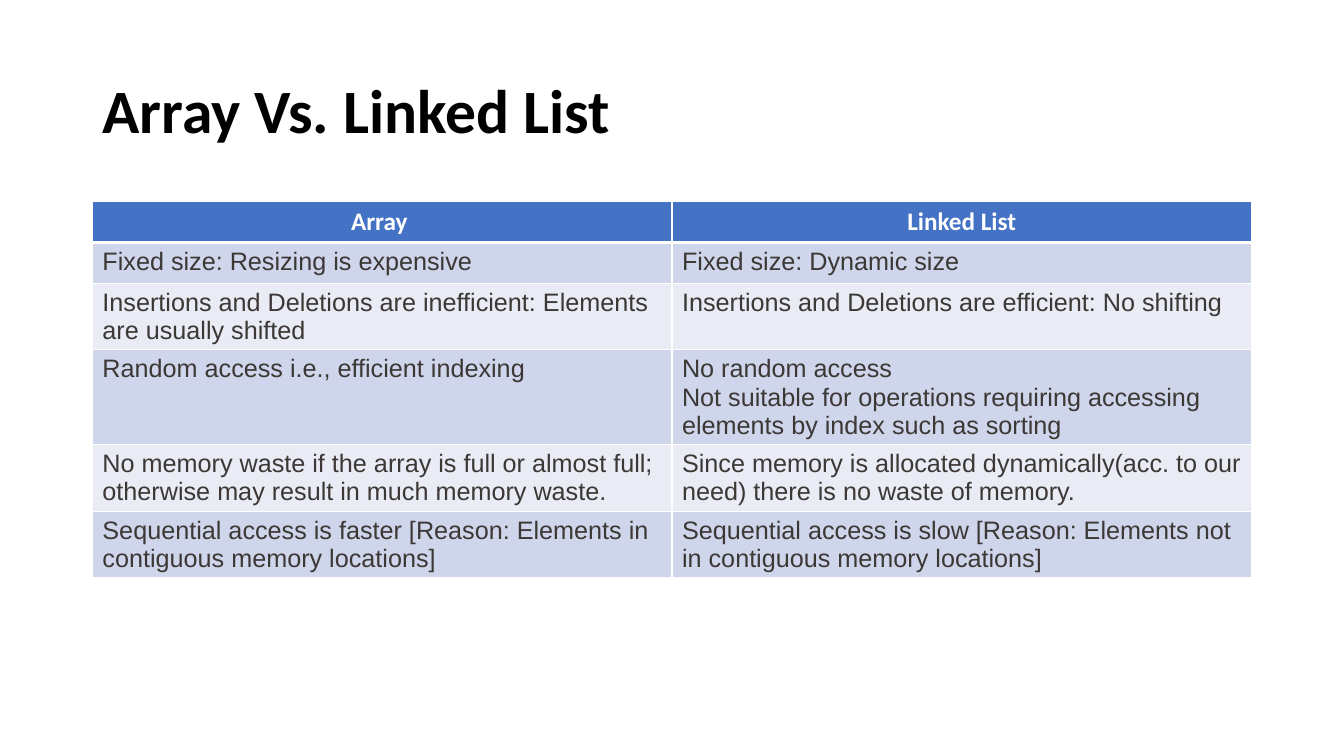
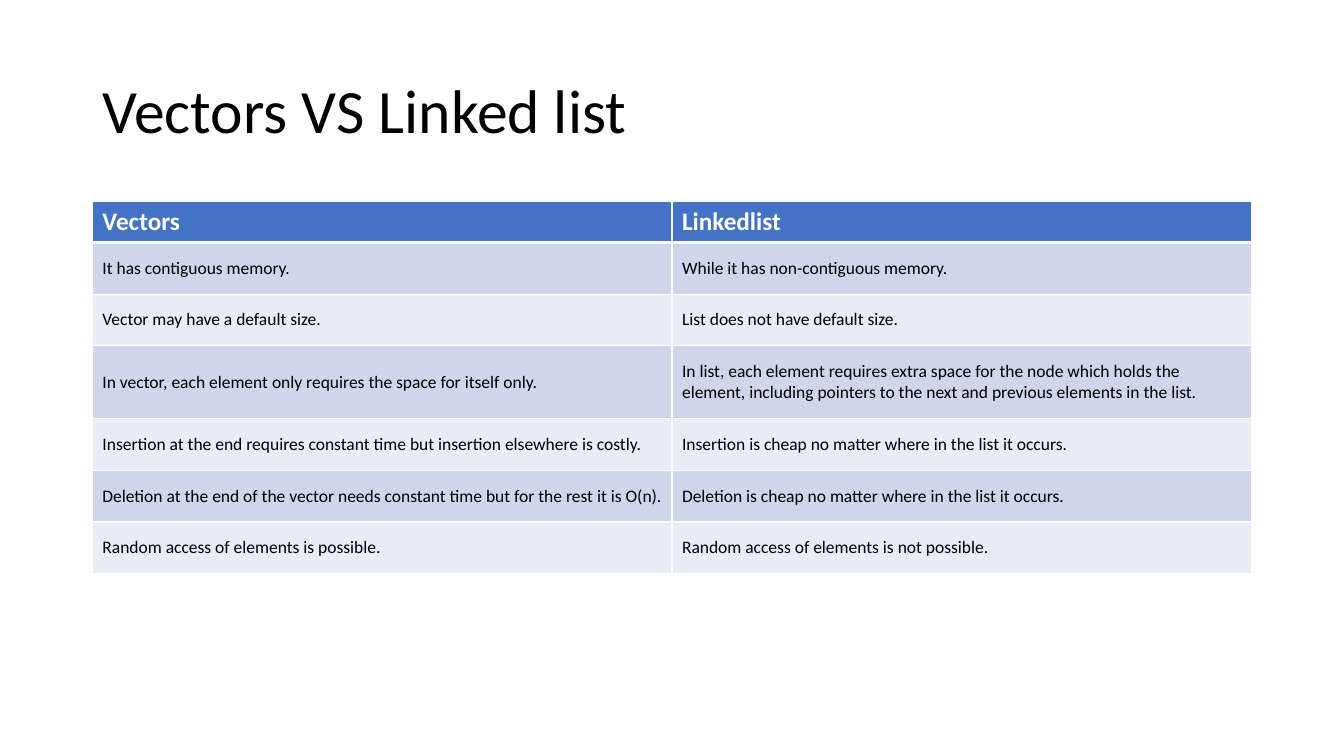
from dataclasses import dataclass

import pptx
import pptx.dml.color
import pptx.enum.text
import pptx.oxml
import pptx.oxml.ns
import pptx.util

Pt = pptx.util.Pt
Align = pptx.enum.text.PP_ALIGN
Anchor = pptx.enum.text.MSO_ANCHOR


@dataclass(frozen=True)
class Theme:
    black: str = "000000"
    charcoal: str = "3B3835"
    white: str = "FFFFFF"
    header_fill: str = "4472C4"
    band_fills: tuple[str, str] = ("CFD5EA", "E9EBF5")
    font: str = "Calibri"
    title_size: float = 44
    table_size: float = 18
    small_size: float = 12.5
    thin_rule: float = 1
    thick_rule: float = 3


THEME = Theme()
SLIDE_WIDTH, SLIDE_HEIGHT = 960, 540
LEFT, CONTENT_WIDTH = 66, 828
TITLE_TOP, TITLE_HEIGHT = 28.8, 104.4
TABLE_TOP, ROW_HEIGHT = 144, 29.2


@dataclass(frozen=True)
class BodyStyle:
    font: str
    size: float
    color: str
    anchor: Anchor
    margin_x: float
    margin_y: float


@dataclass(frozen=True)
class Comparison:
    title: str
    title_bold: bool
    headings: tuple[str, str]
    heading_align: Align
    body: BodyStyle
    table_height: float
    rows: tuple[tuple[str, str], ...]


COMPARISONS = (
    Comparison(
        title="Array Vs. Linked List",
        title_bold=True,
        headings=("Array ", "Linked List"),
        heading_align=Align.CENTER,
        body=BodyStyle("Arial", THEME.table_size, THEME.charcoal, Anchor.TOP, 7.2, 3.6),
        table_height=281.5,
        rows=(
            ("Fixed size: Resizing is expensive", "Fixed size: Dynamic size"),
            ("Insertions and Deletions are inefficient: Elements are usually shifted",
             "Insertions and Deletions are efficient: No shifting"),
            ("Random access i.e., efficient indexing",
             "No random access\nNot suitable for operations requiring accessing "
             "elements by index such as sorting"),
            ("No memory waste if the array is full or almost full; "
             "otherwise may result in much memory waste.",
             "Since memory is allocated dynamically(acc. to our need) "
             "there is no waste of memory."),
            ("Sequential access is faster [Reason: Elements in contiguous memory locations]",
             "Sequential access is slow [Reason: Elements not in contiguous memory locations]"),
        ),
    ),
    Comparison(
        title="Vectors VS Linked list",
        title_bold=False,
        headings=("Vectors", "Linkedlist"),
        heading_align=Align.LEFT,
        body=BodyStyle(THEME.font, THEME.small_size, THEME.black, Anchor.MIDDLE, 7.2, 10.8),
        table_height=275,
        rows=(
            ("It has contiguous memory.", "While it has non-contiguous memory."),
            ("Vector may have a default size.", "List does not have default size."),
            ("In vector, each element only requires the space for itself only.",
             "In list, each element requires extra space for the node which holds the "
             "element, including pointers to the next and previous elements in the list."),
            ("Insertion at the end requires constant time but insertion elsewhere is costly.",
             "Insertion is cheap no matter where in the list it occurs."),
            ("Deletion at the end of the vector needs constant time but for the rest it is O(n).",
             "Deletion is cheap no matter where in the list it occurs."),
            ("Random access of elements is possible.",
             "Random access of elements is not possible."),
        ),
    ),
)


def rgb(color: str) -> pptx.dml.color.RGBColor:
    return pptx.dml.color.RGBColor.from_string(color)


def write_text(frame, text: str, *, size: float, color: str, font: str = THEME.font,
               bold: bool = False, align: Align = Align.LEFT,
               line_spacing: float = 1.0) -> None:
    """Fill a text frame, one paragraph for each line of text."""
    frame.word_wrap = True
    for index, line in enumerate(text.split("\n")):
        paragraph = frame.add_paragraph() if index else frame.paragraphs[0]
        paragraph.alignment = align
        paragraph.line_spacing = line_spacing
        run = paragraph.add_run()
        run.text = line
        run.font.name = font
        run.font.size = Pt(size)
        run.font.bold = bold
        run.font.color.rgb = rgb(color)


def style_cell(cell, fill: str, top: float, bottom: float) -> None:
    """Set the white rules and the fill; the rules come first in the XML."""
    properties = cell._tc.get_or_add_tcPr()
    widths = {"L": THEME.thin_rule, "R": THEME.thin_rule, "T": top, "B": bottom}
    for side, width in widths.items():
        properties.append(pptx.oxml.parse_xml(
            f'<a:ln{side} {pptx.oxml.ns.nsdecls("a")} w="{Pt(width)}"><a:solidFill>'
            f'<a:srgbClr val="{THEME.white}"/></a:solidFill></a:ln{side}>'))
    cell.fill.solid()
    cell.fill.fore_color.rgb = rgb(fill)


def add_title(slide, comparison: Comparison) -> None:
    title = slide.shapes.title
    title.left, title.top = Pt(LEFT), Pt(TITLE_TOP)
    title.width, title.height = Pt(CONTENT_WIDTH), Pt(TITLE_HEIGHT)
    title.text_frame.auto_size = pptx.enum.text.MSO_AUTO_SIZE.NONE
    title.text_frame.vertical_anchor = Anchor.MIDDLE
    write_text(title.text_frame, comparison.title, size=THEME.title_size,
               color=THEME.black, bold=comparison.title_bold, line_spacing=0.9)


def add_comparison_table(slide, comparison: Comparison) -> None:
    holder = slide.shapes.add_table(
        len(comparison.rows) + 1, len(comparison.headings),
        Pt(LEFT), Pt(TABLE_TOP), Pt(CONTENT_WIDTH), Pt(comparison.table_height))
    table, body = holder.table, comparison.body
    for row in table.rows:
        row.height = Pt(ROW_HEIGHT)
    holder.height = Pt(comparison.table_height)

    for column, heading in enumerate(comparison.headings):
        cell = table.cell(0, column)
        style_cell(cell, THEME.header_fill, THEME.thin_rule, THEME.thick_rule)
        write_text(cell.text_frame, heading, size=THEME.table_size, color=THEME.white,
                   bold=True, align=comparison.heading_align)

    for index, texts in enumerate(comparison.rows):
        top = THEME.thin_rule if index else THEME.thick_rule
        for column, text in enumerate(texts):
            cell = table.cell(index + 1, column)
            style_cell(cell, THEME.band_fills[index % 2], top, THEME.thin_rule)
            cell.vertical_anchor = body.anchor
            cell.margin_left = cell.margin_right = Pt(body.margin_x)
            cell.margin_top = cell.margin_bottom = Pt(body.margin_y)
            write_text(cell.text_frame, text, size=body.size, color=body.color,
                       font=body.font)


def main() -> None:
    deck = pptx.Presentation()
    deck.slide_width, deck.slide_height = Pt(SLIDE_WIDTH), Pt(SLIDE_HEIGHT)
    title_only = deck.slide_layouts.get_by_name("Title Only")
    for comparison in COMPARISONS:
        slide = deck.slides.add_slide(title_only)
        add_title(slide, comparison)
        add_comparison_table(slide, comparison)
    deck.save("out.pptx")


if __name__ == "__main__":
    main()
